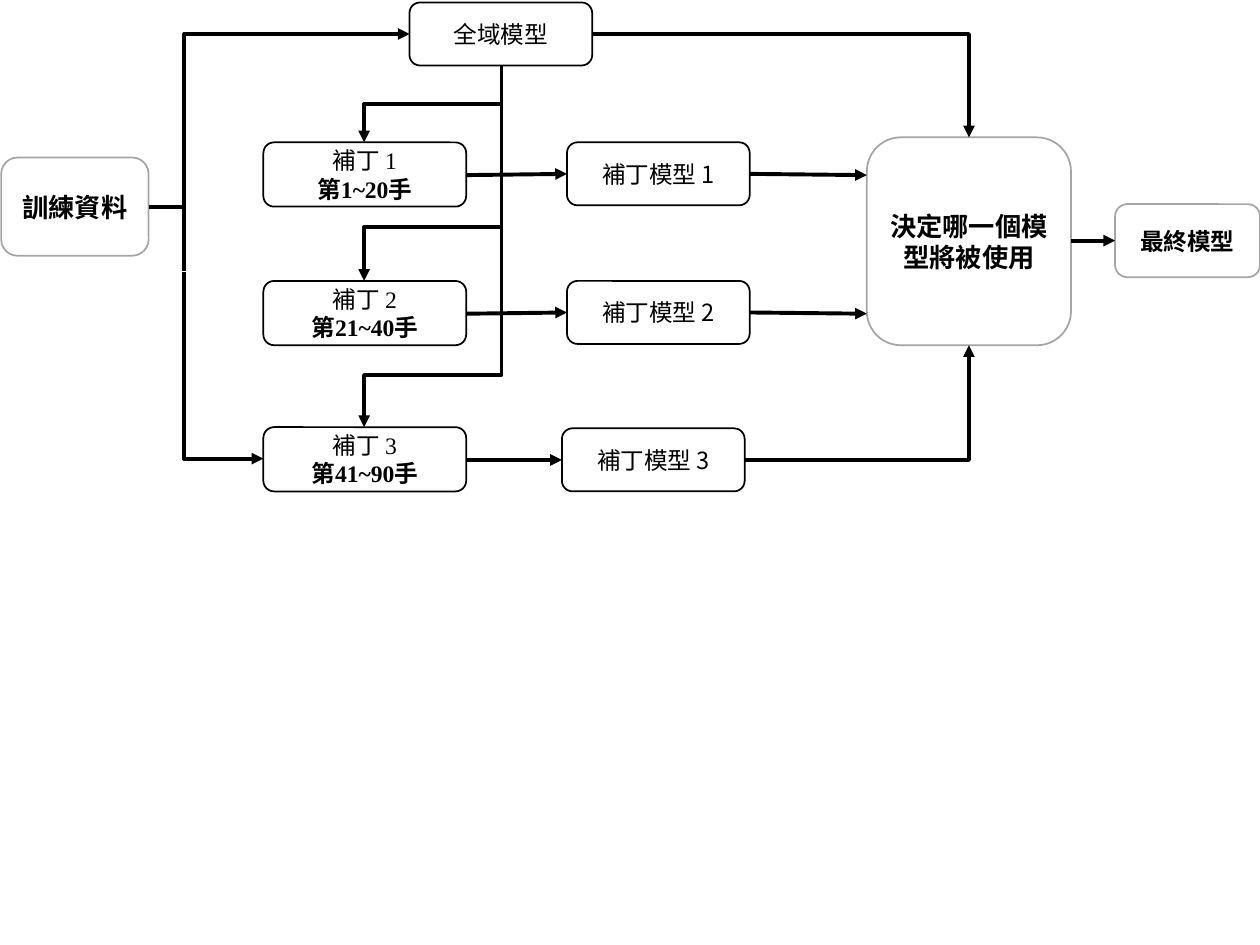
from lxml.etree import SubElement
from pptx import Presentation
from pptx.dml.color import RGBColor
from pptx.enum.shapes import MSO_CONNECTOR as LINK, MSO_SHAPE as SHAPE
from pptx.enum.text import MSO_ANCHOR as ANCHOR, PP_ALIGN as ALIGN
from pptx.oxml.ns import qn
from pptx.util import Inches, Pt

BLACK = RGBColor(0x00, 0x00, 0x00)
WHITE = RGBColor(0xFF, 0xFF, 0xFF)
GRAY = RGBColor(0xA5, 0xA5, 0xA5)
SANS, SERIF = "Noto Sans CJK SC", "Times New Roman"

deck = Presentation()
deck.slide_width, deck.slide_height = Inches(10), Inches(7.5)
page = deck.slides.add_slide(deck.slide_layouts[6])

# Grid of 10 columns by 7.5 rows
COL, ROW = deck.slide_width / 10, deck.slide_height / 7.5


def add_box(left, top, width, height, lines, size=13.5, font=SANS, border=BLACK):
    """Rounded box; lines holds (text, bold) pairs."""
    box = page.shapes.add_shape(SHAPE.ROUNDED_RECTANGLE, int(left * COL), int(top * ROW),
                                int(width * COL), int(height * ROW))
    box.shadow.inherit = False
    box.fill.solid()
    box.fill.fore_color.rgb = WHITE
    box.line.color.rgb = border
    box.line.width = Pt(1)
    frame = box.text_frame
    frame.word_wrap = True
    frame.vertical_anchor = ANCHOR.MIDDLE
    for index, (text, bold) in enumerate(lines):
        para = frame.add_paragraph() if index else frame.paragraphs[0]
        para.text = text
        para.alignment = ALIGN.CENTER
        para.font.size = Pt(size)
        para.font.bold = bold
        para.font.color.rgb = BLACK
        para.font.name = font
        defaults = para._p.pPr.find(qn("a:defRPr"))
        SubElement(defaults, qn("a:ea")).set("typeface", SANS)


def add_link(start, end, bends=0, vertical=False, bend_at=0.5, arrow=True):
    """Straight or bent connector; vertical means it leaves its start vertically."""
    (x1, y1), (x2, y2) = start, end
    link = page.shapes.add_connector(LINK.ELBOW if bends else LINK.STRAIGHT, int(x1 * COL),
                                     int(y1 * ROW), int(x2 * COL), int(y2 * ROW))
    link.line.color.rgb = BLACK
    link.line.width = Pt(2.25)
    props = link._element.spPr
    if bends:
        geometry = props.find(qn("a:prstGeom"))
        geometry.set("prst", f"bentConnector{bends + 1}")
        if bends == 2:
            guide = SubElement(geometry.find(qn("a:avLst")), qn("a:gd"))
            guide.set("name", "adj1")
            guide.set("fmla", f"val {round(bend_at * 100000)}")
    if vertical:
        # Turn the frame a quarter about its centre
        width, height = link.width, link.height
        link.left += (width - height) // 2
        link.top += (height - width) // 2
        link.width, link.height = height, width
        frame = props.find(qn("a:xfrm"))
        right, down = x2 > x1, y2 > y1
        frame.set("rot", str((270 if right and down else 90) * 60000))
        frame.set("flipH", str(int(right)))
        frame.set("flipV", str(int(not down)))
    if arrow:
        SubElement(link.line._get_or_add_ln(), qn("a:tailEnd")).set("type", "triangle")
    SubElement(props, qn("a:effectLst"))


# Training data, global model, decision and final model
add_box(0.01, 1.25, 1.17, 0.78, [("訓練資料", True)], size=15, border=GRAY)
add_box(3.25, 0.02, 1.45, 0.5, [("全域模型", False)])
add_box(6.88, 1.09, 1.62, 1.65, [("決定哪一個模型將被使用", True)], size=15, border=GRAY)
add_box(8.85, 1.62, 1.15, 0.58, [("最終模型", True)], border=GRAY)

# Patches and their models: moves, patch top, model left, model top, branch start, bend share
patches = [
    ("1~20", 1.13, 4.5, 1.13, 0.52, 0.5),
    ("21~40", 2.23, 4.5, 2.23, 1.37, 0.5),
    ("41~90", 3.39, 4.46, 3.4, 0.52, 0.856),
]
for number, (moves, top, model_left, model_top, branch, bend) in enumerate(patches, 1):
    patch_mid, model_mid = top + 0.25, model_top + 0.25
    add_box(2.09, top, 1.61, 0.51, [(f"補丁 {number}", False), (f"第{moves}手", True)], font=SERIF)
    add_box(model_left, model_top, 1.45, 0.5, [(f"補丁模型 {number}", False)])
    add_link((3.98, branch), (2.89, top), bends=2, vertical=True, bend_at=bend)
    add_link((3.7, patch_mid + 0.01), (model_left, model_mid))
    if number < 3:
        add_link((5.95, model_mid), (6.88, model_mid + 0.01))

# Training data to the global model and to patch 3
add_link((1.18, 1.64), (1.46, 1.64), arrow=False)
add_link((1.46, 2.15), (3.25, 0.27), bends=1, vertical=True)
add_link((1.46, 2.16), (2.09, 3.64), bends=1, vertical=True)

# Global model and patch model 3 to the decision, then the final model
add_link((4.7, 0.27), (7.69, 1.09), bends=1)
add_link((5.91, 3.65), (7.69, 2.74), bends=1)
add_link((8.5, 1.91), (8.85, 1.91))

deck.save("out.pptx")
